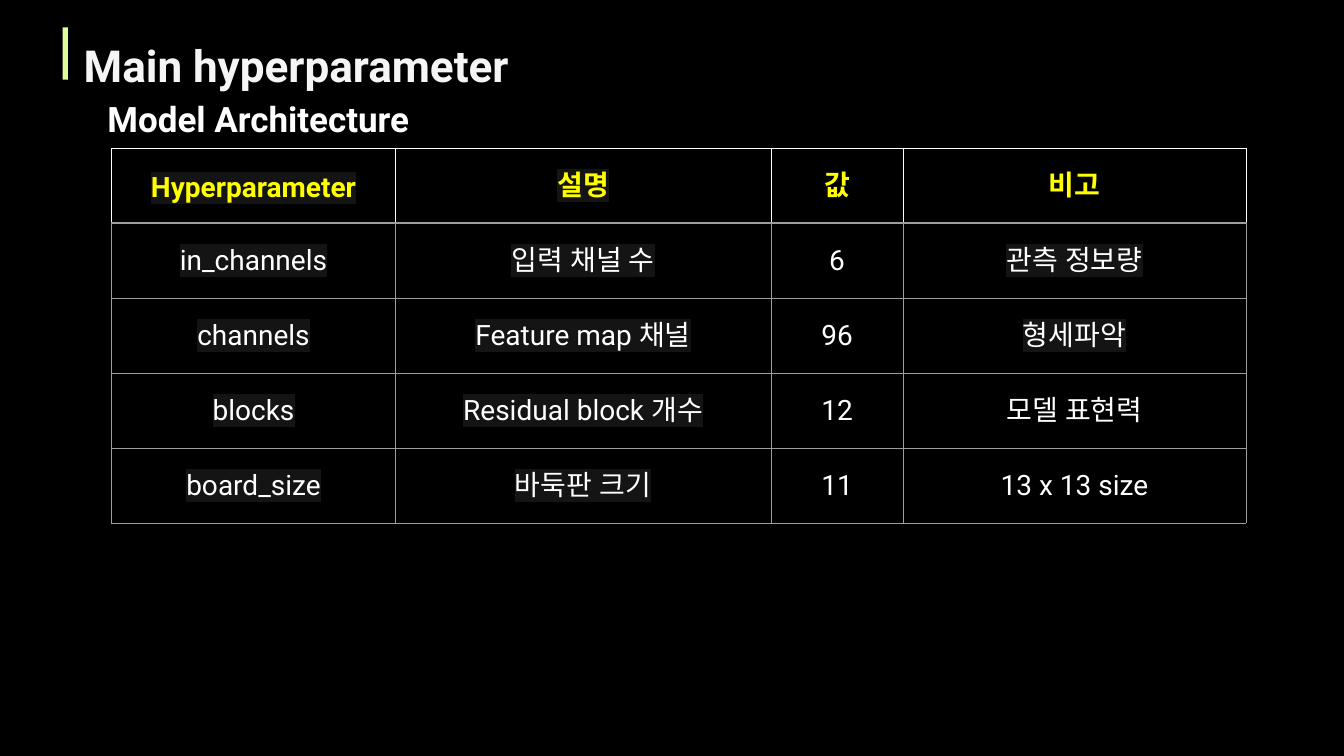
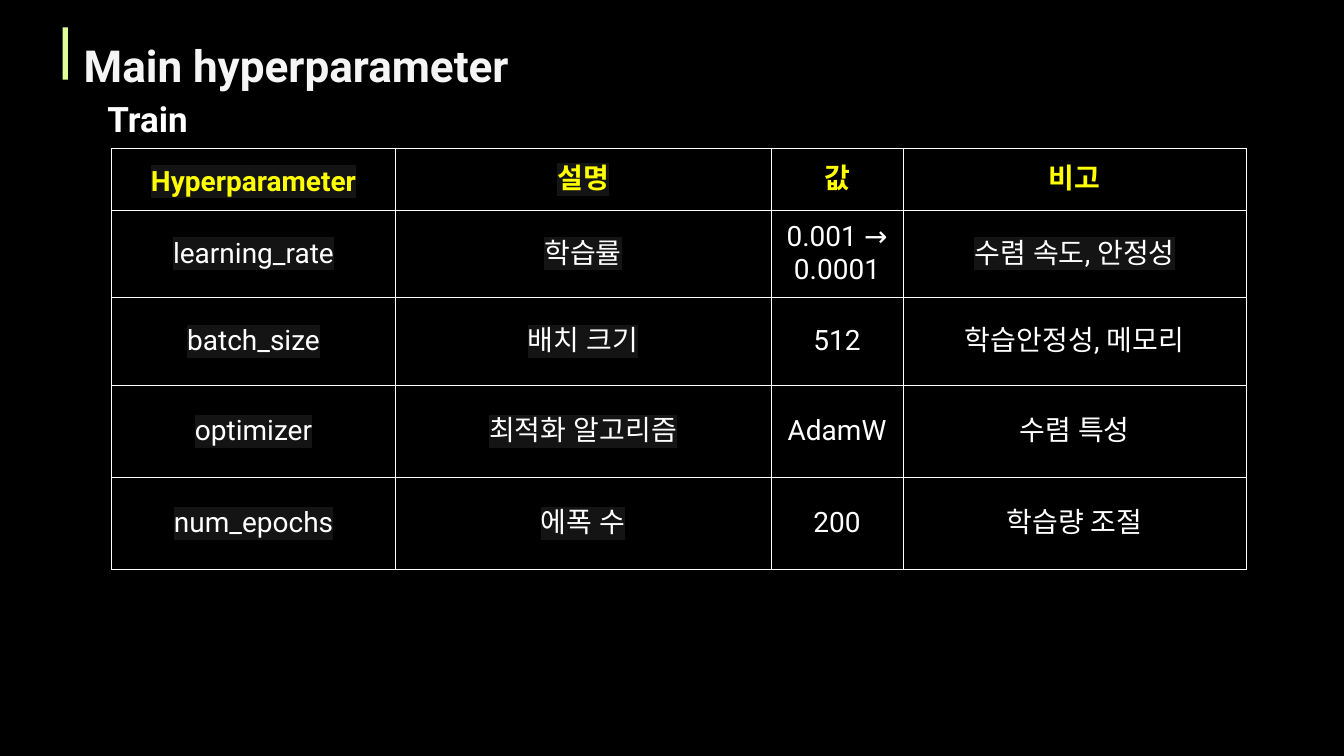
from dataclasses import dataclass

from lxml import etree
from pptx import Presentation
from pptx import util as u
from pptx.dml.color import RGBColor
from pptx.enum import shapes, text
from pptx.oxml import ns

Cm, Pt = u.Cm, u.Pt


@dataclass(frozen=True)
class Theme:
    font: str = "Roboto"
    background: str = "000000"
    accent: str = "DEFF9A"
    title: str = "F5F5F5"
    body: str = "FFFFFF"
    header: str = "FFFF00"
    highlight: str = "141414"
    grid: str = "9E9E9E"
    title_size: float = 31.5
    section_size: float = 25
    table_size: float = 20
    thin: float = 0.75
    thick: float = 1.5


THEME = Theme()
TITLE_BOX = (Cm(2.11), Cm(0.69), Cm(31.67), Cm(1.35))
SECTION_BOX = (Cm(2.46), Cm(2.21), Cm(10.24), Cm(1.57))
TABLE_ORIGIN = (Cm(2.82), Cm(3.73))
COLUMN_WIDTHS = [Cm(7.14), Cm(9.47), Cm(3.33), Cm(8.64)]
PADDING = Cm(0.25)
HEADINGS = ("Hyperparameter", "설명", "값", "비고")
NAME_COLUMN, VALUE_COLUMN, NOTE_COLUMN = 0, 2, 3


@dataclass(frozen=True)
class Section:
    name: str
    rows: list
    row_heights: list
    marked_notes: set
    grid: str
    header_rule: tuple


SECTIONS = [
    Section(
        "Model Architecture",
        [
            ("in_channels", "입력 채널 수", "6", "관측 정보량"),
            ("channels", "Feature map 채널", "96", "형세파악"),
            ("blocks", "Residual block 개수", "12", "모델 표현력"),
            ("board_size", "바둑판 크기", "11", "13 x 13 size"),
        ],
        [Cm(1.89)] * 5,
        marked_notes={1, 2},
        grid=THEME.grid,
        header_rule=(THEME.grid, THEME.thick),
    ),
    Section(
        "Train",
        [
            ("learning_rate", "학습률", "0.001 →\n0.0001", "수렴 속도, 안정성"),
            ("batch_size", "배치 크기", "512", "학습안정성, 메모리"),
            ("optimizer", "최적화 알고리즘", "AdamW", "수렴 특성"),
            ("num_epochs", "에폭 수", "200", "학습량 조절"),
        ],
        [Cm(1.57), Cm(2.16), Cm(2.21), Cm(2.32), Cm(2.32)],
        marked_notes={1},
        grid=THEME.body,
        header_rule=(THEME.body, THEME.thin),
    ),
]


def write(paragraph, words, size, colour, bold=False, marked=False):
    """Fill a paragraph; marked puts the highlight colour behind its words."""
    paragraph.text = words.replace("\n", "\v")
    font = paragraph.font
    font.name, font.size, font.bold = THEME.font, Pt(size), bold
    font.color.rgb = RGBColor.from_string(colour)
    for run in paragraph.runs:
        properties = run._r.get_or_add_rPr()
        if marked:
            highlight = etree.SubElement(properties, ns.qn("a:highlight"))
            etree.SubElement(highlight, ns.qn("a:srgbClr"), val=THEME.highlight)
        etree.SubElement(properties, ns.qn("a:ea"), typeface=THEME.font)


def set_padding(frame, padding):
    frame.margin_left = frame.margin_right = padding
    frame.margin_top = frame.margin_bottom = padding


def set_border(cell, side, colour, width):
    """Draw one side of a cell: L, R, T or B, added in that order."""
    line = etree.SubElement(cell._tc.get_or_add_tcPr(), ns.qn(f"a:ln{side}"), w=str(Pt(width)))
    fill = etree.SubElement(line, ns.qn("a:solidFill"))
    etree.SubElement(fill, ns.qn("a:srgbClr"), val=colour)


def add_title(slide, words, box):
    left, top, width, height = box
    title = slide.shapes.title
    title.left, title.top, title.width, title.height = box
    frame = title.text_frame
    frame.auto_size = text.MSO_AUTO_SIZE.NONE
    frame.vertical_anchor = text.MSO_ANCHOR.TOP
    set_padding(frame, 0)
    heading = frame.paragraphs[0]
    write(heading, words, THEME.title_size, THEME.title, bold=True)
    heading.alignment = text.PP_ALIGN.LEFT
    heading.line_spacing = 1.2

    accent = slide.shapes.add_shape(
        shapes.MSO_SHAPE.RECTANGLE, left - Cm(0.53), top, Cm(0.13), height - Cm(0.03))
    accent.shadow.inherit = False
    accent.fill.solid()
    accent.fill.fore_color.rgb = RGBColor.from_string(THEME.accent)
    accent.line.fill.background()


def add_section_name(slide, words, box):
    frame = slide.shapes.add_textbox(*box).text_frame
    frame.word_wrap = True
    set_padding(frame, PADDING)
    write(frame.paragraphs[0], words, THEME.section_size, THEME.body, bold=True)


def format_cell(cell, words, row, column, section):
    is_header = row == 0
    is_marked = column < VALUE_COLUMN or (column == NOTE_COLUMN and row in section.marked_notes)
    set_padding(cell, PADDING)
    cell.vertical_anchor = text.MSO_ANCHOR.MIDDLE
    paragraph = cell.text_frame.paragraphs[0]
    write(paragraph, words, THEME.table_size, THEME.header if is_header else THEME.body,
          bold=is_header, marked=is_marked)
    paragraph.alignment = text.PP_ALIGN.CENTER
    if is_header and column == NAME_COLUMN:
        paragraph.line_spacing = 1.15

    edge = (THEME.body if is_header else section.grid, THEME.thin)
    borders = {
        "L": edge,
        "R": edge,
        "T": section.header_rule if row == 1 else edge,
        "B": section.header_rule if is_header else edge,
    }
    for side, (colour, width) in borders.items():
        set_border(cell, side, colour, width)
    cell.fill.background()


def add_parameter_table(slide, section, origin):
    contents = [HEADINGS, *section.rows]
    table = slide.shapes.add_table(
        len(contents), len(HEADINGS), *origin,
        sum(COLUMN_WIDTHS), sum(section.row_heights)).table
    table.first_row = table.horz_banding = False
    for column, width in zip(table.columns, COLUMN_WIDTHS):
        column.width = width
    for row, height in zip(table.rows, section.row_heights):
        row.height = height
    for row, entries in enumerate(contents):
        for column, words in enumerate(entries):
            format_cell(table.cell(row, column), words, row, column, section)


def add_section_slide(deck, section):
    slide = deck.slides.add_slide(deck.slide_layouts.get_by_name("Title Only"))
    add_title(slide, "Main hyperparameter", TITLE_BOX)
    add_section_name(slide, section.name, SECTION_BOX)
    add_parameter_table(slide, section, TABLE_ORIGIN)


def main():
    deck = Presentation()
    deck.slide_width, deck.slide_height = Cm(33.87), Cm(19.05)
    backdrop = deck.slide_master.background.fill
    backdrop.solid()
    backdrop.fore_color.rgb = RGBColor.from_string(THEME.background)
    for section in SECTIONS:
        add_section_slide(deck, section)
    deck.save("out.pptx")


if __name__ == "__main__":
    main()
